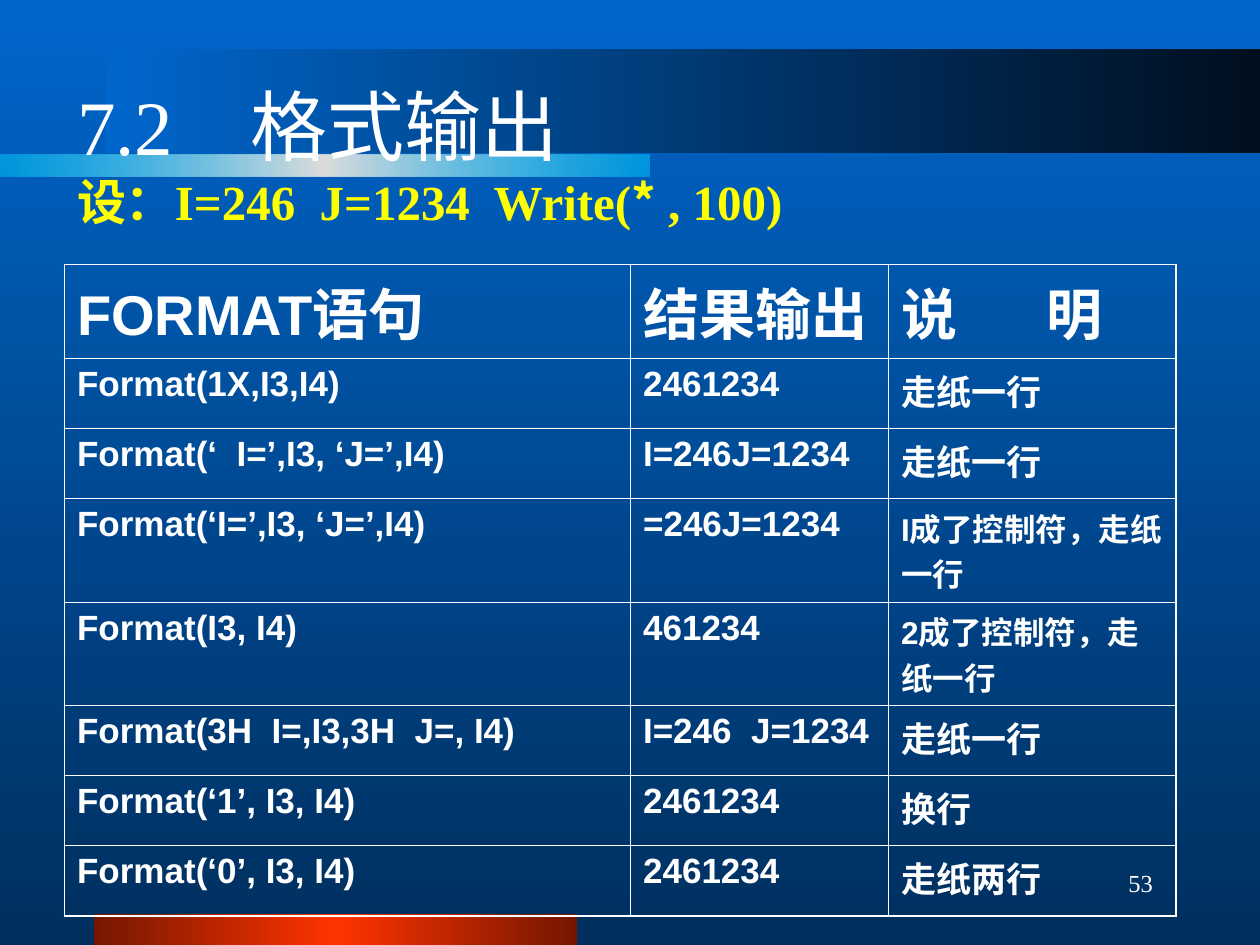
from lxml import etree
from pptx import Presentation
from pptx.dml.color import RGBColor
from pptx.enum.shapes import MSO_SHAPE
from pptx.enum.text import MSO_ANCHOR, MSO_AUTO_SIZE, PP_ALIGN
from pptx.oxml.ns import qn
from pptx.util import Cm, Pt

RECT = MSO_SHAPE.RECTANGLE
MIDDLE = MSO_ANCHOR.MIDDLE
NO_AUTOFIT = MSO_AUTO_SIZE.NONE
LEFT, RIGHT = PP_ALIGN.LEFT, PP_ALIGN.RIGHT
TITLE_ONLY = 5

THEME = {
    "text": "FFFFFF", "accent": "FFFF00", "border": "FFFFFF",
    "serif": "Times New Roman", "sans": "Arial", "cjk": "Noto Sans CJK SC",
    "title": 44, "given": 28, "header": 32, "body": 20, "note": 18, "number": 14,
    "outer_line": 1.08, "inner_line": 0.45,
}

# Content
HEADING = "7.2\u3000格式输出".replace("\u3000", "　")
GIVEN = [("设：I=246  J=1234  Write(", "serif"), ("*", "cjk"), (" , 100)", "serif")]
PAGE_NUMBER = "53"
ROWS = [
    ("FORMAT语句", "结果输出", "说\t明"),
    ("Format(1X,I3,I4)", "2461234", "走纸一行"),
    ("Format(‘  I=’,I3, ‘J=’,I4)", "I=246J=1234", "走纸一行"),
    ("Format(‘I=’,I3, ‘J=’,I4)", "=246J=1234", "I成了控制符，走纸一行"),
    ("Format(I3, I4)", "461234", "2成了控制符，走纸一行"),
    ("Format(3H  I=,I3,3H  J=, I4)", "I=246  J=1234", "走纸一行"),
    ("Format(‘1’, I3, I4)", "2461234", "换行"),
    ("Format(‘0’, I3, I4)", "2461234", "走纸两行"),
]
LONG_NOTE_ROWS = (3, 4)
COL_WIDTHS = (11.41, 5.2, 5.79)
HEADER_HEIGHT, ROW_HEIGHT, LONG_ROW_HEIGHT = 1.6, 1.41, 1.78
HEADER_TAB = 2.94

# Gradients: (position %, colour, opacity %)
BACKGROUND = [(0, "0066CC", 100), (100, "002F5E", 100)]
BANDS = [  # left, top, width, height, stops
    (1.9, 18.42, 9.73, 0.63,
     [(0, "751700", 100), (50, "FF3300", 100), (100, "751700", 100)]),
    (2.13, 0.99, 23.27, 2.1, [(0, "000F1F", 100), (100, "0066CC", 100)]),
    (-0.03, 3.11, 13.13, 0.44,
     [(0, "00CCFF", 50), (50, "DDDDDD", 100), (100, "00CCFF", 50)]),
]


def set_gradient(fill, owner, stops, angle):
    fill.gradient()
    grad = owner.find(".//" + qn("a:gradFill"))
    for child in list(grad):
        grad.remove(child)
    stop_list = etree.SubElement(grad, qn("a:gsLst"))
    for pos, color, opacity in stops:
        gs = etree.SubElement(stop_list, qn("a:gs"), pos=str(pos * 1000))
        clr = etree.SubElement(gs, qn("a:srgbClr"), val=color)
        if opacity < 100:
            etree.SubElement(clr, qn("a:alpha"), val=str(opacity * 1000))
    etree.SubElement(grad, qn("a:lin"), ang=str(angle * 60000), scaled="0")


def set_font(font, face, size, color="text", bold=False):
    font.name = THEME[face]
    font.size = Pt(THEME[size])
    font.bold = bold
    font.color.rgb = RGBColor.from_string(THEME[color])


def set_borders(cell, outer_sides):
    tc_pr = cell._tc.get_or_add_tcPr()
    for side in "LRTB":
        width = THEME["outer_line" if side in outer_sides else "inner_line"]
        ln = etree.SubElement(tc_pr, qn("a:ln" + side), w=str(Pt(width)))
        fill = etree.SubElement(ln, qn("a:solidFill"))
        etree.SubElement(fill, qn("a:srgbClr"), val=THEME["border"])


def add_tab(p, position):
    tabs = etree.SubElement(p._p.get_or_add_pPr(), qn("a:tabLst"))
    etree.SubElement(tabs, qn("a:tab"), pos=str(Cm(position)), algn="l")


def row_height(row):
    if row == 0:
        return HEADER_HEIGHT
    return LONG_ROW_HEIGHT if row in LONG_NOTE_ROWS else ROW_HEIGHT


def text_size(row, col):
    if row == 0:
        return "header"
    return "note" if row in LONG_NOTE_ROWS and col == 2 else "body"


prs = Presentation()
prs.slide_width, prs.slide_height = Cm(25.4), Cm(19.05)
s = prs.slides.add_slide(prs.slide_layouts[TITLE_ONLY])

# Background and decorative bands
set_gradient(s.background.fill, s._element, BACKGROUND, 90)
for left, top, width, height, stops in BANDS:
    sp = s.shapes.add_shape(RECT, Cm(left), Cm(top), Cm(width), Cm(height))
    sp.shadow.inherit = False
    sp.line.fill.background()
    set_gradient(sp.fill, sp._element, stops, 180)

# Title, brought in front of the bands
title = s.shapes.title
title._element.getparent().append(title._element)
title.left, title.top, title.width, title.height = Cm(1.3), Cm(1.52), Cm(21.59), Cm(3.18)
tf = title.text_frame
tf.word_wrap = True
tf.auto_size = NO_AUTOFIT
tf.vertical_anchor = MIDDLE
p = tf.paragraphs[0]
p.alignment = LEFT
r = p.add_run()
r.text = HEADING
set_font(r.font, "serif", "title")
p.add_line_break()
for text, face in GIVEN:
    r = p.add_run()
    r.text = text
    set_font(r.font, face, "given", "accent", bold=True)

# Table
heights = [row_height(i) for i in range(len(ROWS))]
table = s.shapes.add_table(len(ROWS), len(COL_WIDTHS), Cm(1.3), Cm(5.33),
                           Cm(sum(COL_WIDTHS)), Cm(sum(heights))).table
table.first_row = table.horz_banding = False
for col, width in enumerate(COL_WIDTHS):
    table.columns[col].width = Cm(width)
last_row, last_col = len(ROWS) - 1, len(COL_WIDTHS) - 1
for row, texts in enumerate(ROWS):
    table.rows[row].height = Cm(heights[row])
    for col, text in enumerate(texts):
        cell = table.cell(row, col)
        edges = {"L": col == 0, "R": col == last_col, "T": row == 0, "B": row == last_row}
        set_borders(cell, [side for side, outer in edges.items() if outer])
        cell.fill.background()
        p = cell.text_frame.paragraphs[0]
        p.add_run().text = text
        if "\t" in text:
            add_tab(p, HEADER_TAB)
        set_font(p.font, "sans", text_size(row, col), bold=True)

# Slide number
tf = s.shapes.add_textbox(Cm(18.21), Cm(17.15), Cm(5.28), Cm(1.27)).text_frame
tf.word_wrap = True
tf.vertical_anchor = MIDDLE
p = tf.paragraphs[0]
p.text = PAGE_NUMBER
p.alignment = RIGHT
set_font(p.font, "serif", "number")

prs.save("out.pptx")
